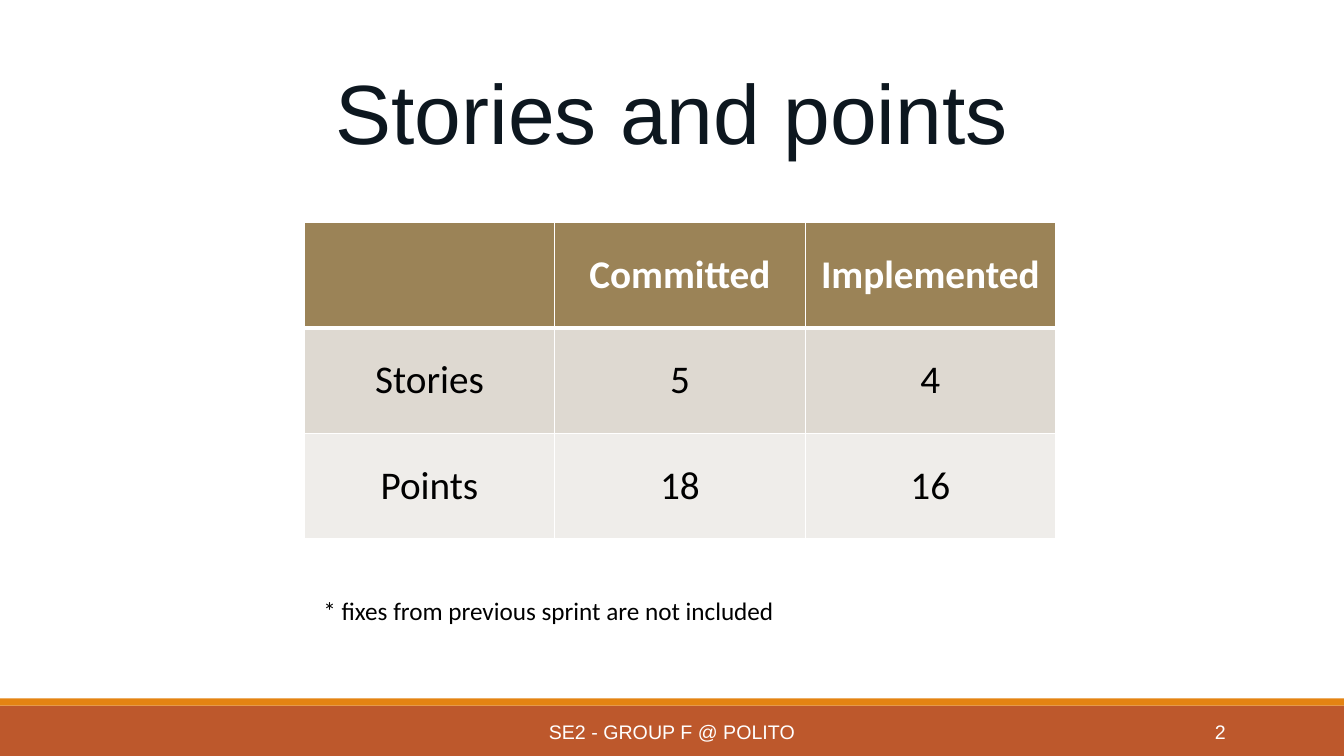
from lxml import etree
from pptx import Presentation
from pptx.dml.color import RGBColor
from pptx.enum.shapes import MSO_SHAPE
from pptx.enum.text import MSO_ANCHOR as Anchor, MSO_AUTO_SIZE as AutoSize, PP_ALIGN as Align
from pptx.oxml.ns import qn
from pptx.util import Cm, Pt

WHITE = RGBColor(0xFF, 0xFF, 0xFF)
BLACK = RGBColor(0, 0, 0)
TITLE_NAVY = RGBColor(0x0D, 0x17, 0x1F)
FOOTER_RUST = RGBColor(0xBD, 0x58, 0x2C)
FOOTER_ORANGE = RGBColor(0xE4, 0x83, 0x12)
ROW_FILLS = [RGBColor(0x9B, 0x83, 0x57), RGBColor(0xDE, 0xD9, 0xD1), RGBColor(0xEF, 0xED, 0xEA)]


def write_text(text_frame, text, size, color, font="Calibri", bold=False,
               align=Align.LEFT, anchor=Anchor.TOP):
    text_frame.auto_size = AutoSize.NONE
    text_frame.word_wrap = True
    text_frame.vertical_anchor = anchor
    paragraph = text_frame.paragraphs[0]
    paragraph.alignment = align
    run = paragraph.add_run()
    run.text = text
    run.font.name = font
    run.font.size = Pt(size)
    run.font.bold = bold
    run.font.color.rgb = color


def set_borders(cell, **widths):
    """Draw white borders; widths are points keyed by L, R, T and B, in that order."""
    properties = cell._tc.get_or_add_tcPr()
    for position, (side, width) in enumerate(widths.items()):
        line = etree.Element(qn(f"a:ln{side}"), w=str(Pt(width)))
        fill = etree.SubElement(line, qn("a:solidFill"))
        etree.SubElement(fill, qn("a:srgbClr"), val=str(WHITE))
        properties.insert(position, line)


presentation = Presentation()
presentation.slide_width = Cm(33.87)
presentation.slide_height = Cm(19.05)
slide = presentation.slides.add_slide(presentation.slide_layouts[5])

# Footer bands
for top, height, color in [(17.78, 1.27, FOOTER_RUST), (17.6, 0.18, FOOTER_ORANGE)]:
    band = slide.shapes.add_shape(MSO_SHAPE.RECTANGLE, 0, Cm(top), Cm(33.87), Cm(height))
    band.shadow.inherit = False
    band.fill.solid()
    band.fill.fore_color.rgb = color
    band.line.fill.background()

# Footer text
for text, left, width, align in [
    ("SE2 - GROUP F @ POLITO", 10.24, 13.39, Align.CENTER),
    ("2", 27.5, 3.64, Align.RIGHT),
]:
    footer = slide.shapes.add_textbox(Cm(left), Cm(17.93), Cm(width), Cm(1.02))
    write_text(footer.text_frame, text, 14, WHITE, font="Arial", align=align,
               anchor=Anchor.MIDDLE)

# Title
title = slide.shapes.title
title.left, title.top, title.width, title.height = Cm(5.03), Cm(1.4), Cm(23.8), Cm(2.82)
write_text(title.text_frame, "Stories and points", 60, TITLE_NAVY, font="Arial",
           align=Align.CENTER)

# Stories and points table
rows = [
    ["", "Committed", "Implemented"],
    ["Stories", "5", "4"],
    ["Points", "18", "16"],
]
table = slide.shapes.add_table(3, 3, Cm(7.67), Cm(5.6), Cm(18.93), Cm(7.98)).table
for row_index, (values, row_fill) in enumerate(zip(rows, ROW_FILLS)):
    is_header = row_index == 0
    for column_index, value in enumerate(values):
        cell = table.cell(row_index, column_index)
        cell.fill.solid()
        cell.fill.fore_color.rgb = row_fill
        set_borders(cell, L=1, R=1, T=3 if row_index == 1 else 1, B=3 if is_header else 1)
        cell.vertical_anchor = Anchor.MIDDLE
        if value:
            write_text(cell.text_frame, value, 28, WHITE if is_header else BLACK,
                       bold=is_header, align=Align.CENTER, anchor=Anchor.MIDDLE)

# Footnote
footnote = slide.shapes.add_textbox(Cm(7.9), Cm(14.88), Cm(12.62), Cm(1.02))
write_text(footnote.text_frame, "* fixes from previous sprint are not included", 18, BLACK)

presentation.save("out.pptx")
